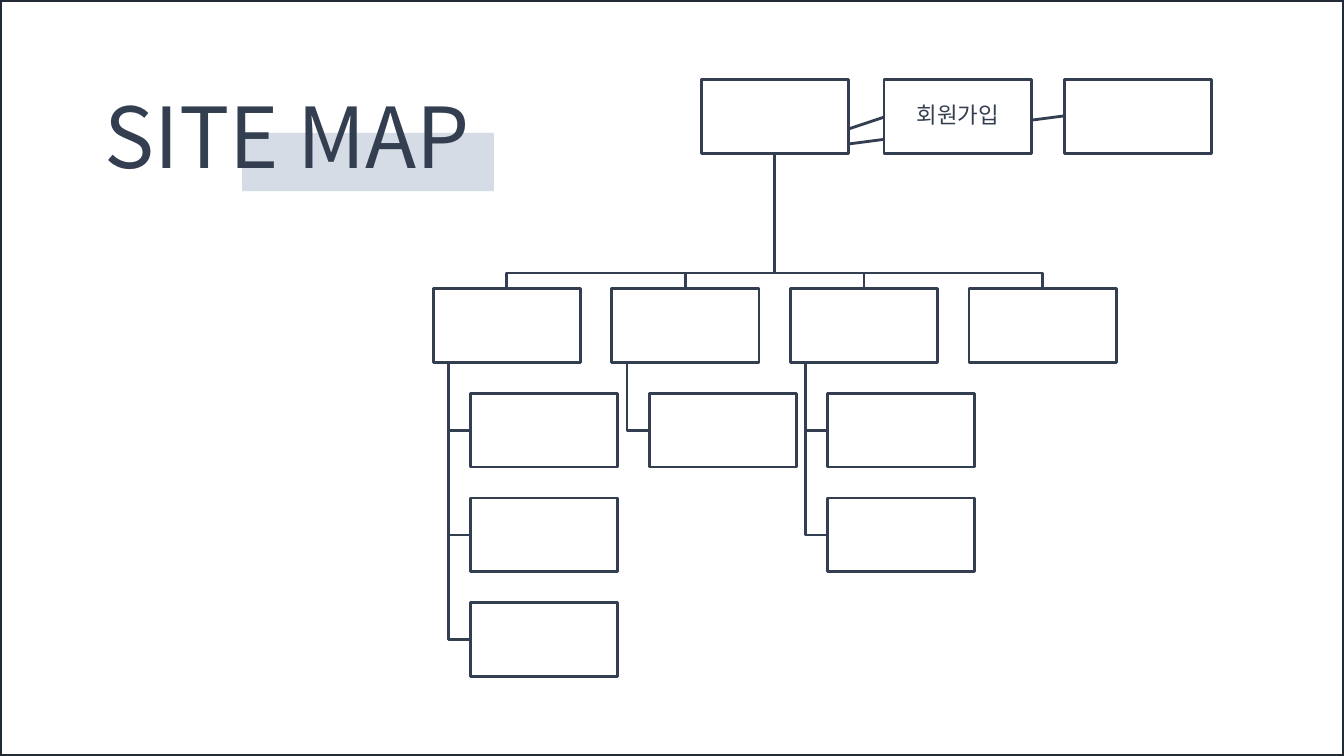
from lxml.etree import SubElement
from pptx import Presentation
from pptx.dml.color import RGBColor
from pptx.enum.shapes import MSO_CONNECTOR as Connector, MSO_SHAPE as Shape
from pptx.enum.text import MSO_ANCHOR as Anchor, MSO_AUTO_SIZE as AutoSize, PP_ALIGN as Align
from pptx.oxml.ns import qn
from pptx.util import Cm, Pt

NAVY = RGBColor(0x33, 0x3F, 0x50)
DARK = RGBColor(0x22, 0x2A, 0x35)
PALE = RGBColor(0xD6, 0xDC, 0xE5)
WHITE = RGBColor(0xFF, 0xFF, 0xFF)

BOX_W, BOX_H = 3.71, 1.86
TOP_ROW, MENU_ROW = 2.01, 7.27
COLUMN_STEP, ROW_STEP = 4.5, 2.64
MENU_LEFT, CHILD_INDENT, STEM_INDENT = 10.92, 0.94, 0.38
HOME_LEFT, SIGNUP_LEFT, LAST_LEFT = 17.67, 22.28, 26.82
BUS_Y = 6.88
CHILD_COUNTS = [3, 1, 2, 0]

deck = Presentation()
deck.slide_width, deck.slide_height = Cm(33.87), Cm(19.05)
slide = deck.slides.add_slide(deck.slide_layouts[6])
shapes = slide.shapes


def add_box(left, top, width=BOX_W, height=BOX_H, fill=WHITE, line=NAVY, weight=2):
    box = shapes.add_shape(Shape.RECTANGLE, Cm(left), Cm(top), Cm(width), Cm(height))
    box.shadow.inherit = False
    if fill is None:
        box.fill.background()
    else:
        box.fill.solid()
        box.fill.fore_color.rgb = fill
    if line is None:
        box.line.fill.background()
    else:
        box.line.color.rgb = line
        box.line.width = Pt(weight)
    return box


def add_branch(*points):
    corners = [(Cm(x), Cm(y)) for x, y in points]
    builder = shapes.build_freeform(*corners[0])
    builder.add_line_segments(corners[1:], close=False)
    branch = builder.convert_to_shape()
    branch.shadow.inherit = False
    branch.fill.background()
    branch.line.color.rgb = NAVY
    branch.line.width = Pt(2)


add_box(6.1, 3.35, 6.35, 1.47, fill=PALE, line=None)
add_box(0, 0, 33.87, 19.05, fill=None, line=DARK, weight=3)

home_x, home_bottom = HOME_LEFT + BOX_W / 2, TOP_ROW + BOX_H
for target_left, target_y in [(LAST_LEFT, 2.92), (SIGNUP_LEFT, 2.95)]:
    link = shapes.add_connector(Connector.STRAIGHT, Cm(home_x), Cm(home_bottom),
                                Cm(target_left), Cm(target_y))
    link.line.color.rgb = NAVY
    link.line.width = Pt(2)
    SubElement(link.element.spPr, qn("a:effectLst"))

for column, child_count in enumerate(CHILD_COUNTS):
    menu_left = MENU_LEFT + column * COLUMN_STEP
    menu_x = menu_left + BOX_W / 2
    add_branch((home_x, home_bottom), (home_x, BUS_Y), (menu_x, BUS_Y), (menu_x, MENU_ROW))
    stem_x, child_left = menu_left + STEM_INDENT, menu_left + CHILD_INDENT
    for row in range(1, child_count + 1):
        child_top = MENU_ROW + row * ROW_STEP
        child_y = child_top + BOX_H / 2
        add_branch((stem_x, MENU_ROW + BOX_H), (stem_x, child_y), (child_left, child_y))
        add_box(child_left, child_top)
    add_box(menu_left, MENU_ROW)

add_box(HOME_LEFT, TOP_ROW)
signup = add_box(SIGNUP_LEFT, TOP_ROW)
add_box(LAST_LEFT, TOP_ROW)

label = signup.text_frame
label.text = "회원가입"
label.word_wrap = True
label.vertical_anchor = Anchor.MIDDLE
label.margin_left = label.margin_right = label.margin_top = label.margin_bottom = Cm(0.03)
label.paragraphs[0].line_spacing = 0.9
label.paragraphs[0].space_after = Pt(5.6)

title = shapes.add_textbox(Cm(1.5), Cm(2.01), Cm(11.48), Cm(2.82)).text_frame
title.text = "SITE MAP"
title.word_wrap = True
title.auto_size = AutoSize.SHAPE_TO_FIT_TEXT

for frame, size, font_name in [(label, 16, "Calibri"), (title, 60, "Noto Sans CJK KR")]:
    paragraph = frame.paragraphs[0]
    paragraph.alignment = Align.CENTER
    font = paragraph.runs[0].font
    font.size = Pt(size)
    font.name = font_name
    font.color.rgb = NAVY

deck.save("out.pptx")
